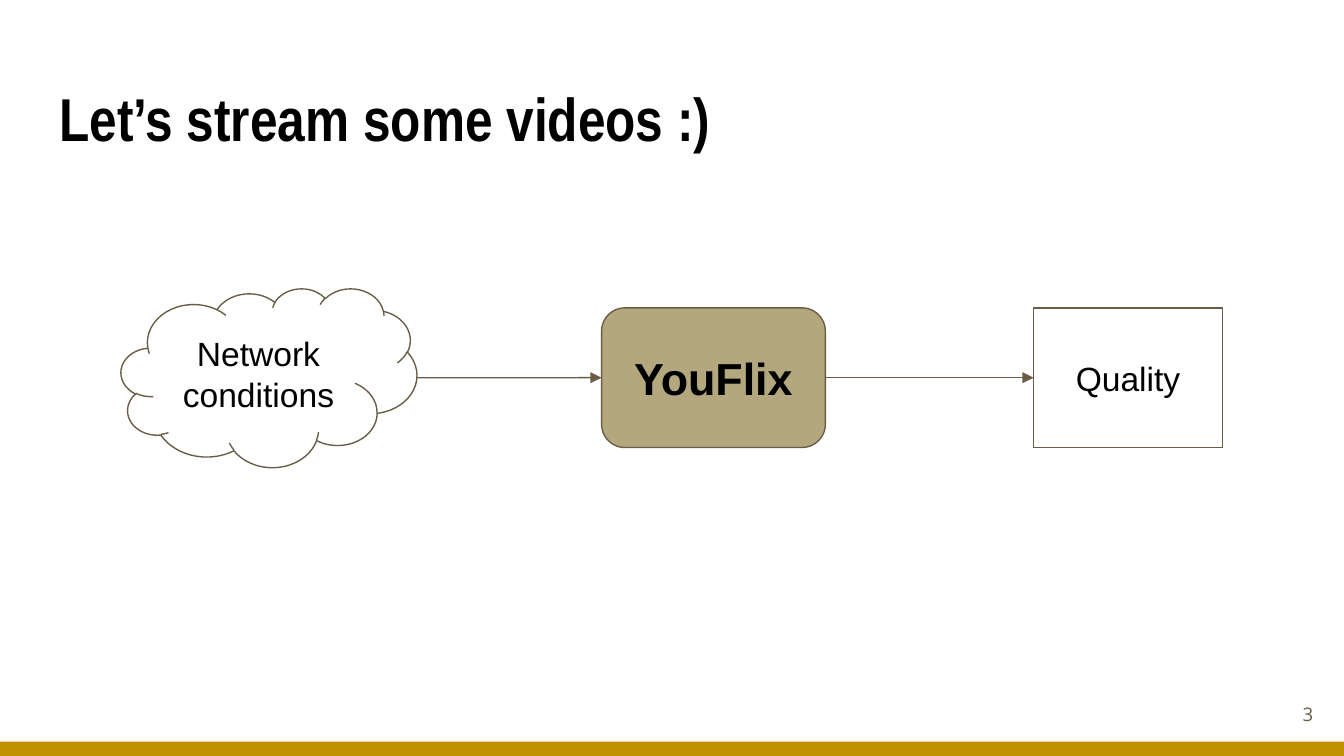
from lxml import etree
from pptx import Presentation
from pptx.dml.color import RGBColor
from pptx.enum.shapes import MSO_CONNECTOR, MSO_SHAPE
from pptx.enum.text import MSO_ANCHOR, PP_ALIGN
from pptx.oxml.ns import qn
from pptx.util import Cm, Pt

CLOUD, ROUNDED, RECTANGLE = (
    MSO_SHAPE.CLOUD, MSO_SHAPE.ROUNDED_RECTANGLE, MSO_SHAPE.RECTANGLE)
STRAIGHT = MSO_CONNECTOR.STRAIGHT
LEFT, CENTER, RIGHT = PP_ALIGN.LEFT, PP_ALIGN.CENTER, PP_ALIGN.RIGHT
MIDDLE = MSO_ANCHOR.MIDDLE

BLACK = RGBColor(0x00, 0x00, 0x00)
GOLD = RGBColor(0xBF, 0x90, 0x00)
SAND = RGBColor(0xB3, 0xA7, 0x7D)
BROWN = RGBColor(0x69, 0x5D, 0x46)

PAGE_WIDTH, PAGE_HEIGHT = 25.4, 14.29
BAR_HEIGHT = 0.27
FLOW_MIDDLE = 7.14
BOX_HEIGHT = 2.64
INSET = Cm(0.25)
LEFT_SIDE, RIGHT_SIDE = 1, 3


def write_text(shape, text, size, font="Arial", color=BLACK, bold=False,
               align=CENTER):
    frame = shape.text_frame
    frame.word_wrap = True
    frame.vertical_anchor = MIDDLE
    frame.margin_left = frame.margin_right = INSET
    frame.margin_top = frame.margin_bottom = INSET
    para = frame.paragraphs[0]
    para.alignment = align
    span = para.add_run()
    span.text = text
    span.font.name = font
    span.font.size = Pt(size)
    span.font.bold = bold
    span.font.color.rgb = color


def add_label(page, left, top, width, height, text, **style):
    box = page.shapes.add_textbox(Cm(left), Cm(top), Cm(width), Cm(height))
    write_text(box, text, **style)


def add_box(page, kind, left, top, width, height, fill=None, line=None):
    box = page.shapes.add_shape(kind, Cm(left), Cm(top), Cm(width), Cm(height))
    box.shadow.inherit = False
    if fill is None:
        box.fill.background()
    else:
        box.fill.solid()
        box.fill.fore_color.rgb = fill
    if line is None:
        box.line.fill.background()
    else:
        box.line.color.rgb = line
        box.line.width = Pt(0.75)
    return box


def add_stage(page, kind, left, width, height, text, size, fill=None,
              bold=False):
    """Add a flow stage centred on the common middle line."""
    stage = add_box(page, kind, left, FLOW_MIDDLE - height / 2, width, height,
                    fill=fill, line=BROWN)
    write_text(stage, text, size, bold=bold)
    return stage


def add_arrow(page, source, target):
    middle = Cm(FLOW_MIDDLE)
    arrow = page.shapes.add_connector(
        STRAIGHT, source.left + source.width, middle, target.left, middle)
    # The cloud numbers its connection sites differently, so it is not joined
    if source.auto_shape_type != CLOUD:
        arrow.begin_connect(source, RIGHT_SIDE)
    arrow.end_connect(target, LEFT_SIDE)
    arrow.line.color.rgb = BROWN
    arrow.line.width = Pt(0.75)
    outline = arrow.line._get_or_add_ln()
    etree.SubElement(outline, qn("a:tailEnd"), type="triangle")
    etree.SubElement(arrow._element.spPr, qn("a:effectLst"))


def main():
    deck = Presentation()
    deck.slide_width, deck.slide_height = Cm(PAGE_WIDTH), Cm(PAGE_HEIGHT)
    page = deck.slides.add_slide(deck.slide_layouts[6])

    # Footer bar, title and page number
    add_box(page, RECTANGLE, 0, PAGE_HEIGHT - BAR_HEIGHT, PAGE_WIDTH,
            BAR_HEIGHT, fill=GOLD)
    add_label(page, 0.87, 1.24, 23.67, 1.96, "Let’s stream some videos :)",
              size=32.4, font="Arial Narrow", bold=True, align=LEFT)
    add_label(page, 23.55, 12.95, 1.52, 1.09, "3", size=10, font="Open Sans",
              color=BROWN, align=RIGHT)

    # Flow from network conditions to quality
    network = add_stage(page, CLOUD, 2.29, 5.59, 3.38, "Network conditions", 18)
    service = add_stage(page, ROUNDED, 11.37, 4.23, BOX_HEIGHT, "YouFlix", 24,
                        fill=SAND, bold=True)
    quality = add_stage(page, RECTANGLE, 19.53, 3.58, BOX_HEIGHT, "Quality", 18)
    add_arrow(page, network, service)
    add_arrow(page, service, quality)

    deck.save("out.pptx")


if __name__ == "__main__":
    main()
